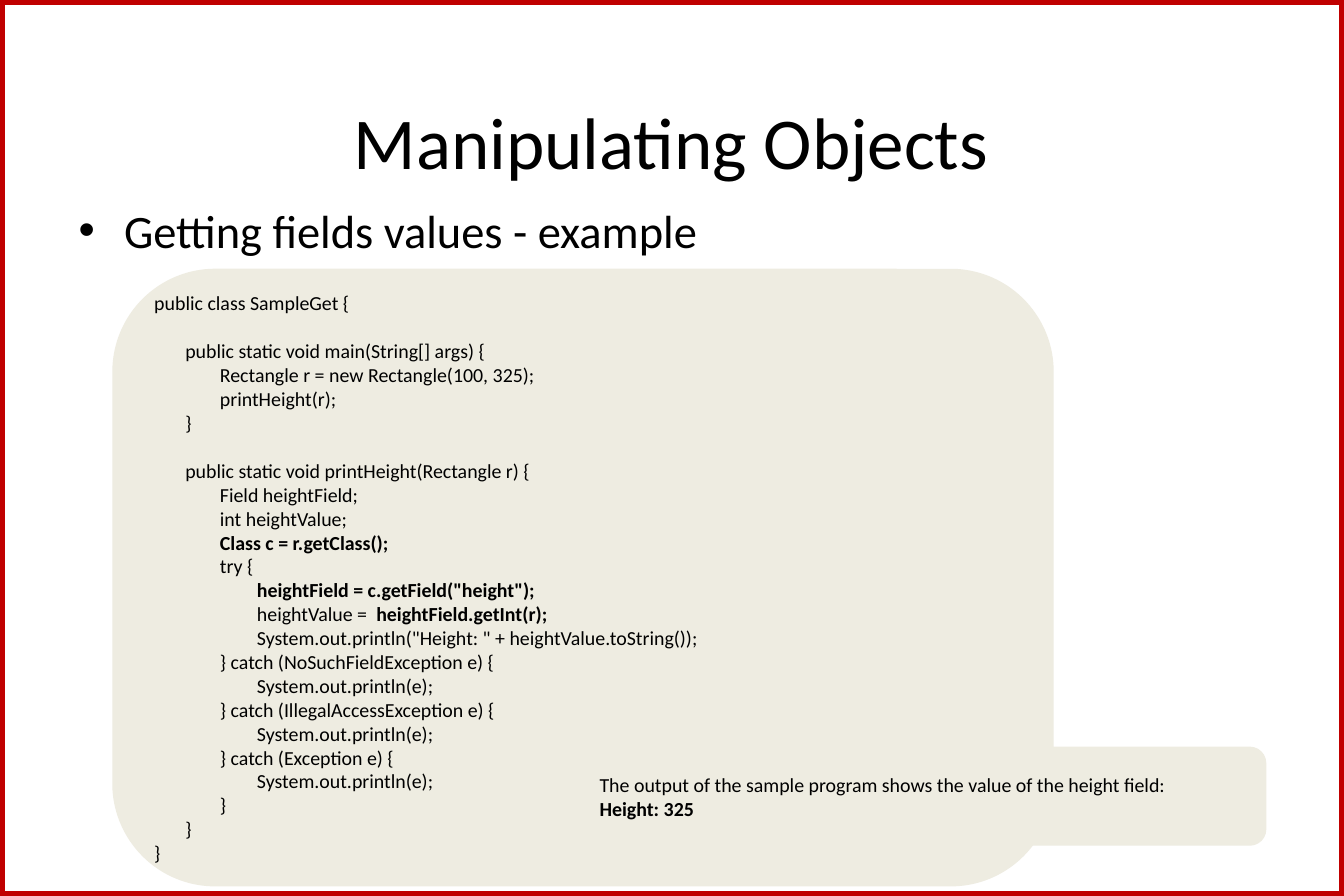
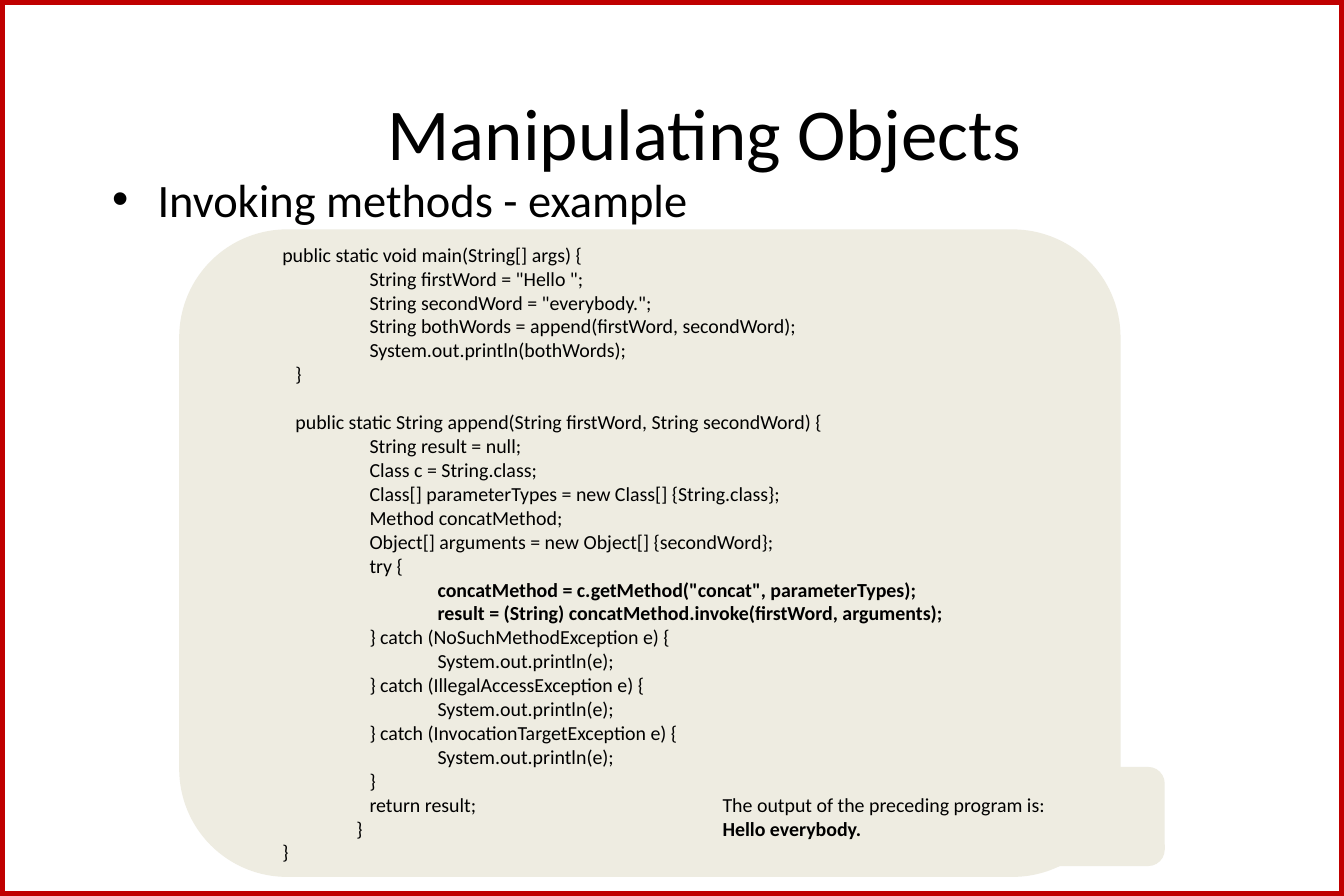
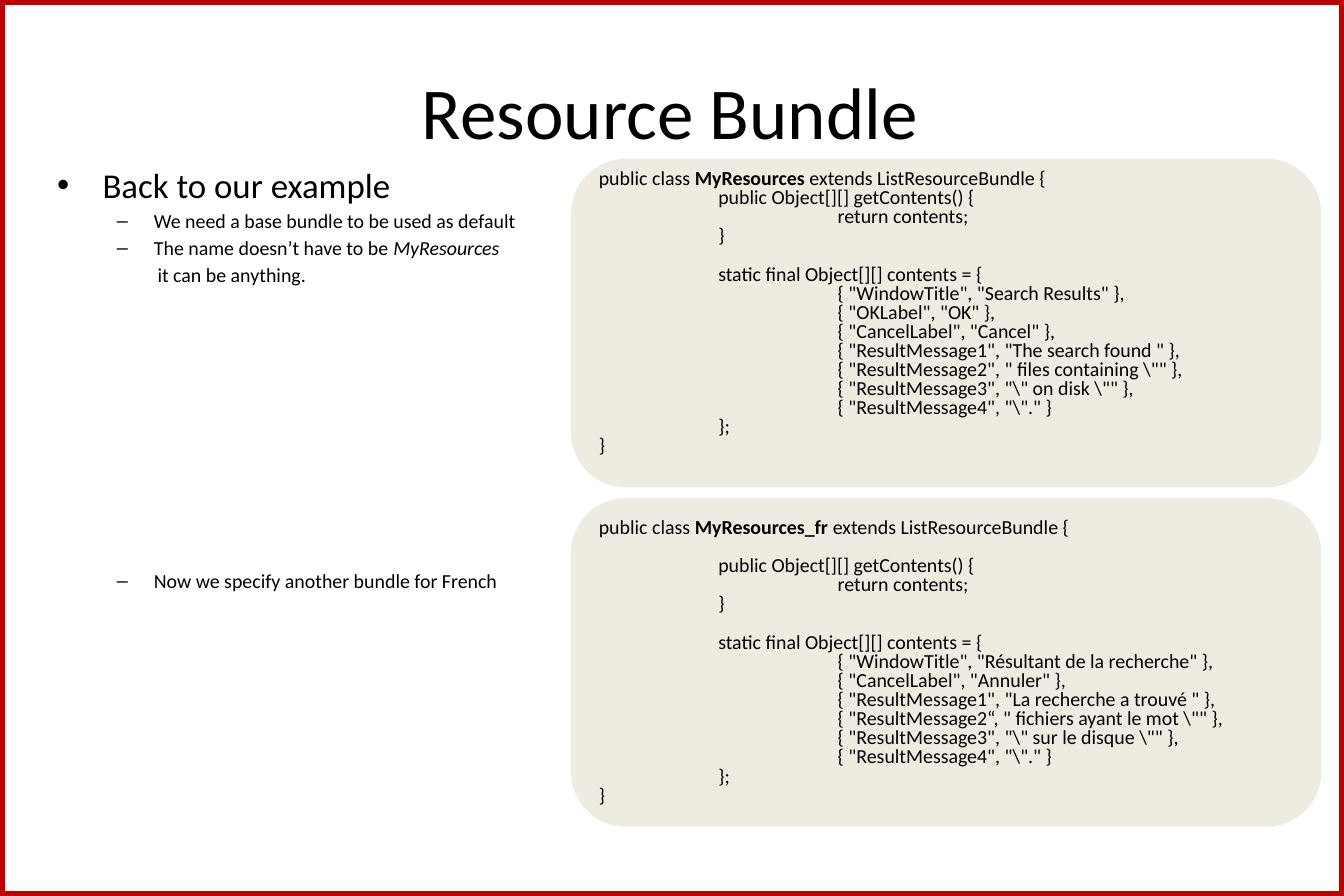
from dataclasses import dataclass

from lxml.etree import SubElement
from pptx import Presentation
from pptx.dml.color import RGBColor
from pptx.enum.shapes import MSO_SHAPE
from pptx.enum.text import MSO_ANCHOR, PP_ALIGN
from pptx.oxml.ns import qn
from pptx.util import Inches, Pt


@dataclass(frozen=True)
class Theme:
    """Hold the colours, the typeface and the type sizes."""
    font: str = "Calibri"
    text: RGBColor = RGBColor(0x00, 0x00, 0x00)
    border: RGBColor = RGBColor(0xC0, 0x00, 0x00)
    panel: RGBColor = RGBColor(0xEE, 0xEC, 0xE1)
    title_size: float = 44
    heading_size: float = 28
    small_heading_size: float = 21
    code_size: float = 12
    line_height: float = 1.22


THEME = Theme()
WIDTH, HEIGHT = 11.25, 7.5
EMPHASIS = "|"
INDENT = "  "

GET_FIELD_MAIN = """
public class SampleGet {

  public static void main(String[] args) {
    Rectangle r = new Rectangle(100, 325);
    printHeight(r);
  }
"""

PRINT_HEIGHT = """
  public static void printHeight(Rectangle r) {
    Field heightField;
    int heightValue;
    |Class c = r.getClass();|
    try {
      |heightField = c.getField("height");|
      heightValue =  |heightField.getInt(r);|
      System.out.println("Height: " + heightValue.toString());
    } catch (NoSuchFieldException e) {
      System.out.println(e);
    } catch (IllegalAccessException e) {
      System.out.println(e);
    } catch (Exception e) {
      System.out.println(e);
    }
  }
}
"""

GET_FIELD_OUTPUT = """
The output of the sample program shows the value of the height field:
|Height: 325|
"""

INVOKE_MAIN = """
public static void main(String[] args) {
      String firstWord = "Hello ";
      String secondWord = "everybody.";
      String bothWords = append(firstWord, secondWord);
      System.out.println(bothWords);
  }
"""

INVOKE_APPEND = """
  public static String append(String firstWord, String secondWord) {
      String result = null;
      Class c = String.class;
      Class[] parameterTypes = new Class[] {String.class};
      Method concatMethod;
      Object[] arguments = new Object[] {secondWord};
      try {
        |concatMethod = c.getMethod("concat", parameterTypes);|
        |result = (String) concatMethod.invoke(firstWord, arguments);|
      } catch (NoSuchMethodException e) {
        System.out.println(e);
      } catch (IllegalAccessException e) {
        System.out.println(e);
      } catch (InvocationTargetException e) {
        System.out.println(e);
      }
      return result;
    }
}
"""

INVOKE_OUTPUT = """
The output of the preceding program is:
|Hello everybody.|
"""

DEFAULT_BUNDLE = r"""
public class |MyResources| extends ListResourceBundle {
  public Object[][] getContents() {
    return contents;
  }

  static final Object[][] contents = {
    { "WindowTitle", "Search Results" },
    { "OKLabel", "OK" },
    { "CancelLabel", "Cancel" },
    { "ResultMessage1", "The search found " },
    { "ResultMessage2", " files containing \"" },
    { "ResultMessage3", "\" on disk \"" },
    { "ResultMessage4", "\"." }
  };
}
"""

FRENCH_BUNDLE = r"""
public class |MyResources_fr| extends ListResourceBundle {

  public Object[][] getContents() {
    return contents;
  }

  static final Object[][] contents = {
    { "WindowTitle", "Résultant de la recherche" },
    { "CancelLabel", "Annuler" },
    { "ResultMessage1", "La recherche a trouvé " },
    { "ResultMessage2“, " fichiers ayant le mot \"" },
    { "ResultMessage3", "\" sur le disque \"" },
    { "ResultMessage4", "\"." }
  };
}
"""


def style(paragraph, size):
    """Apply the theme font to a whole paragraph."""
    font = paragraph.font
    font.name = THEME.font
    font.size = Pt(size)
    font.color.rgb = THEME.text


def write(paragraph, text, size, italic=False):
    """Fill a paragraph, emphasising the parts between marks."""
    style(paragraph, size)
    for index, part in enumerate(text.split(EMPHASIS)):
        if part:
            run = paragraph.add_run()
            run.text = part
            if index % 2:
                run.font.italic = italic
                run.font.bold = not italic


def set_indent(paragraph, left, hanging=0, bullet=None):
    """Set the left margin, the hanging indent and the bullet."""
    properties = paragraph._p.get_or_add_pPr()
    properties.set("marL", str(Inches(left)))
    properties.set("indent", str(-Inches(hanging)))
    if bullet:
        SubElement(properties, qn("a:buFont")).set("typeface", "Arial")
        SubElement(properties, qn("a:buChar")).set("char", bullet)


def next_paragraph(frame, index):
    """Return the first paragraph of a frame, or a new one."""
    return frame.add_paragraph() if index else frame.paragraphs[0]


def add_text_box(slide, left, top, width, height):
    """Add a wrapping text box and return its frame."""
    frame = slide.shapes.add_textbox(
        Inches(left), Inches(top), Inches(width), Inches(height)).text_frame
    frame.word_wrap = True
    return frame


def add_slide(presentation, title, left, top):
    """Add a blank slide with the red border and a centred title."""
    slide = presentation.slides.add_slide(presentation.slide_layouts[6])
    border = slide.shapes.add_shape(
        MSO_SHAPE.RECTANGLE, 0, 0, Inches(WIDTH), Inches(HEIGHT))
    border.shadow.inherit = False
    border.fill.background()
    border.line.color.rgb = THEME.border
    border.line.width = Pt(5.5)
    frame = add_text_box(slide, left, top, 10.12, 1.25)
    frame.vertical_anchor = MSO_ANCHOR.MIDDLE
    paragraph = frame.paragraphs[0]
    paragraph.alignment = PP_ALIGN.CENTER
    write(paragraph, title, THEME.title_size)
    return slide


def add_heading(slide, text, left, top, height, size=THEME.heading_size):
    """Add a bulleted heading and return its frame."""
    frame = add_text_box(slide, left, top, 10.12, height)
    paragraph = frame.paragraphs[0]
    set_indent(paragraph, 0.38, 0.38, "•")
    write(paragraph, text, size)
    return frame


def add_sub_point(frame, text, space_before=1.9, bullet="–"):
    """Add a second-level point, dashed unless it continues the last."""
    paragraph = frame.add_paragraph()
    paragraph.space_before = Pt(space_before)
    if bullet:
        set_indent(paragraph, 0.81, 0.31, bullet)
    else:
        set_indent(paragraph, 0.84)
    write(paragraph, text, THEME.code_size, italic=True)


def add_panel(slide, box, text, stops=(0,), spacing=1.0, lines_below=0):
    """Add a rounded panel of text, indented at the given stops."""
    shape = slide.shapes.add_shape(
        MSO_SHAPE.FLOWCHART_ALTERNATE_PROCESS, *map(Inches, box))
    shape.shadow.inherit = False
    shape.fill.solid()
    shape.fill.fore_color.rgb = THEME.panel
    shape.line.fill.background()
    line_points = THEME.code_size * THEME.line_height * spacing
    frame = shape.text_frame
    frame.word_wrap = True
    frame.vertical_anchor = MSO_ANCHOR.MIDDLE
    frame.margin_top = 0
    frame.margin_bottom = Pt(line_points * lines_below)
    for index, block in enumerate(text.strip().split("\n\n")):
        for row, line in enumerate(block.split("\n")):
            content = line.lstrip()
            level = (len(line) - len(content)) // len(INDENT)
            paragraph = next_paragraph(frame, index + row)
            paragraph.alignment = PP_ALIGN.LEFT
            paragraph.line_spacing = spacing
            if index and not row:
                paragraph.space_before = Pt(line_points)
            set_indent(paragraph, stops[level])
            write(paragraph, content, THEME.code_size)


def add_field_slide(presentation):
    """Build the slide on getting field values."""
    slide = add_slide(presentation, "Manipulating Objects", 0.56, 0.55)
    add_heading(slide, "Getting fields values - example", 0.56, 1.64, 4.95)
    add_panel(slide, (0.94, 2.25, 7.88, 5.17), GET_FIELD_MAIN + PRINT_HEIGHT,
              stops=(0, 0.26, 0.55, 0.86))
    add_panel(slide, (4.88, 6.25, 5.72, 0.83), GET_FIELD_OUTPUT)


def add_method_slide(presentation):
    """Build the slide on invoking methods."""
    slide = add_slide(presentation, "Manipulating Objects", 0.84, 0.47)
    add_heading(slide, "Invoking methods - example", 0.84, 1.38, 4.95)
    add_panel(slide, (1.5, 1.92, 7.88, 5.42), INVOKE_MAIN + INVOKE_APPEND,
              stops=(0.5, 0.61, 1.12, 1.23, 1.8))
    add_panel(slide, (5.91, 6.42, 3.84, 0.83), INVOKE_OUTPUT)


def add_bundle_slide(presentation):
    """Build the slide on resource bundles."""
    slide = add_slide(presentation, "Resource Bundle", 0.55, 0.3)
    frame = add_heading(slide, "Back to our example", 0.38, 1.32, 5.93,
                        THEME.small_heading_size)
    add_sub_point(frame, "We need a base bundle to be used as default")
    add_sub_point(frame, "The name doesn’t have to be |MyResources|")
    add_sub_point(frame, "it can be anything.", bullet=None)
    add_sub_point(frame, "Now we specify another bundle for French",
                  space_before=170)
    for top, code, lines_below in ((1.33, DEFAULT_BUNDLE, 1),
                                   (4.17, FRENCH_BUNDLE, 0)):
        add_panel(slide, (4.78, top, 6.28, 2.75), code, stops=(0, 1, 2),
                  spacing=0.8, lines_below=lines_below)


def main():
    """Build and save the presentation."""
    presentation = Presentation()
    presentation.slide_width = Inches(WIDTH)
    presentation.slide_height = Inches(HEIGHT)
    add_field_slide(presentation)
    add_method_slide(presentation)
    add_bundle_slide(presentation)
    presentation.save("out.pptx")


if __name__ == "__main__":
    main()
